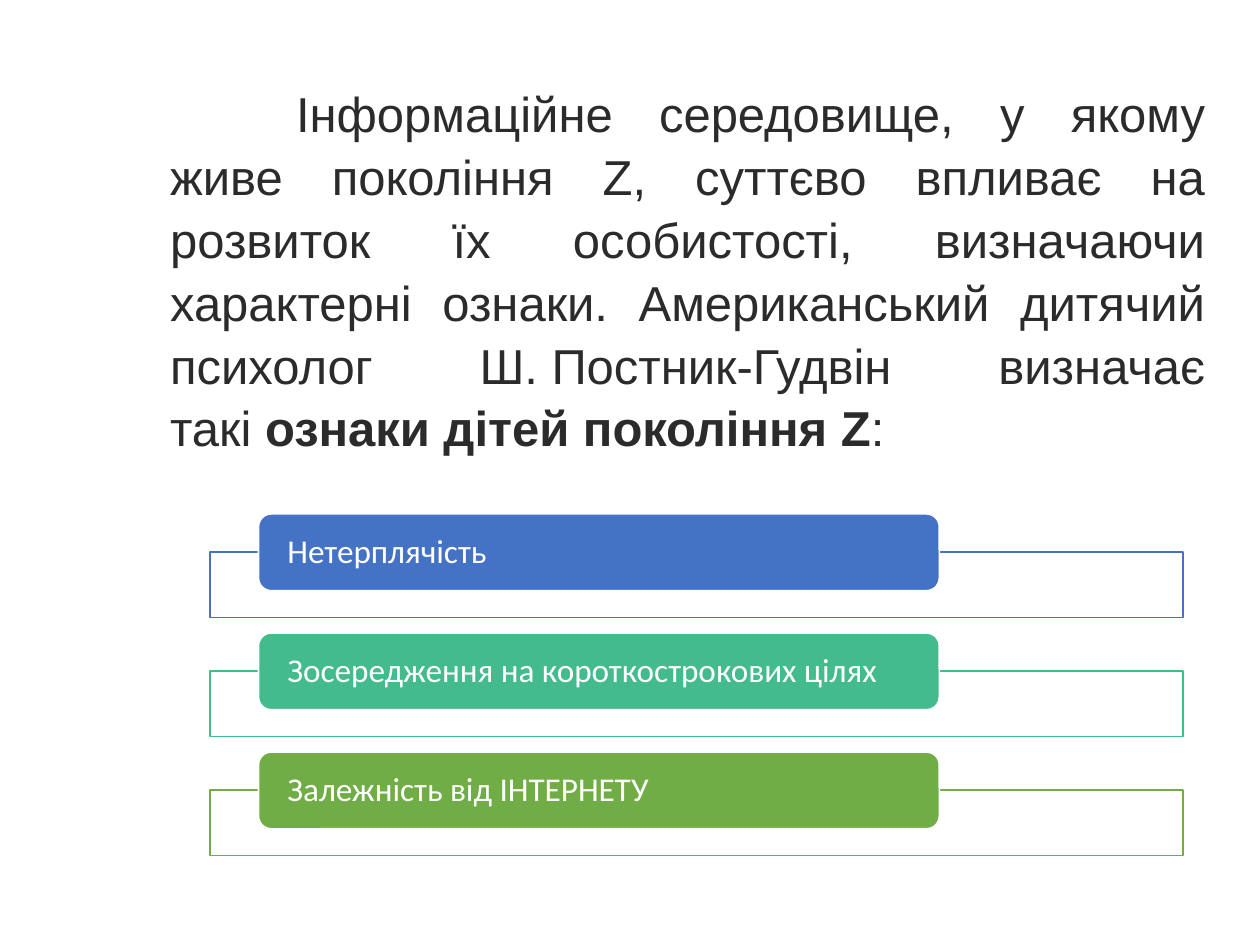
from lxml import etree
from pptx import Presentation
from pptx.dml.color import RGBColor
from pptx.enum.shapes import MSO_SHAPE
from pptx.enum.text import MSO_ANCHOR, PP_ALIGN
from pptx.oxml.ns import qn
from pptx.util import Cm, Pt

RECTANGLE = MSO_SHAPE.RECTANGLE
ROUNDED = MSO_SHAPE.ROUNDED_RECTANGLE
MIDDLE = MSO_ANCHOR.MIDDLE
LEFT = PP_ALIGN.LEFT
JUSTIFY = PP_ALIGN.JUSTIFY

WHITE = RGBColor(0xFF, 0xFF, 0xFF)
INK = RGBColor(0x2C, 0x2B, 0x2B)
BLUE = RGBColor(0x44, 0x72, 0xC4)
TEAL = RGBColor(0x43, 0xBB, 0x8D)
GREEN = RGBColor(0x70, 0xAD, 0x47)

INTRO = [
    ("Інформаційне середовище, у якому живе покоління Z, суттєво впливає "
     "на розвиток їх особистості, визначаючи характерні ознаки. "
     "Американський дитячий психолог Ш.\u00a0Постник-Гудвін визначає "
     "такі\u00a0", False),
    ("ознаки дітей покоління Z", True),
    (":", False),
]
TRAITS = [
    ("Нетерплячість", BLUE),
    ("Зосередження на короткострокових цілях", TEAL),
    ("Залежність від ІНТЕРНЕТУ", GREEN),
]


def write(frame, runs, font, size, color, align=LEFT, spacing=1.0,
          before=0, indent=0):
    frame.word_wrap = True
    paragraph = frame.paragraphs[0]
    paragraph.alignment = align
    paragraph.line_spacing = spacing
    paragraph.space_before = Pt(before)
    if indent:
        paragraph._p.get_or_add_pPr().set("indent", str(Cm(indent)))
    for words, bold in runs:
        run = paragraph.add_run()
        run.text = words
        run.font.name = font
        run.font.size = Pt(size)
        run.font.bold = bold
        run.font.color.rgb = color


def add_block(slide, kind, left, top, width, height, fill, line, opacity=100):
    block = slide.shapes.add_shape(kind, Cm(left), Cm(top), Cm(width), Cm(height))
    block.shadow.inherit = False
    block.fill.solid()
    block.fill.fore_color.rgb = fill
    block.line.color.rgb = line
    block.line.width = Pt(1)
    if opacity < 100:
        tint = block._element.spPr.find(qn("a:solidFill"))[0]
        etree.SubElement(tint, qn("a:alpha")).set("val", str(opacity * 1000))
    return block


def add_intro(slide, left, top, width, height):
    intro = slide.shapes.add_textbox(Cm(left), Cm(top), Cm(width), Cm(height))
    write(intro.text_frame, INTRO, "Arial", 28, INK, align=JUSTIFY,
          spacing=1.07, before=7.5, indent=2.54)


def add_trait(slide, left, top, width, words, color):
    add_block(slide, RECTANGLE, left, top + 0.77, width, 1.32, WHITE, color,
              opacity=90)
    label = add_block(slide, ROUNDED, left + 0.97, top, width * 0.7, 1.55,
                      color, WHITE)
    frame = label.text_frame
    frame.vertical_anchor = MIDDLE
    frame.margin_left = frame.margin_right = Cm(0.51)
    frame.margin_top = frame.margin_bottom = 0
    write(frame, [(words, False)], "Calibri", 19, WHITE, spacing=0.9)


def add_traits(slide, left, top, width, pitch):
    for row, (words, color) in enumerate(TRAITS):
        add_trait(slide, left, top + row * pitch, width, words, color)


def main():
    deck = Presentation()
    deck.slide_width = Cm(25.4)
    deck.slide_height = Cm(19.05)
    slide = deck.slides.add_slide(deck.slide_layouts[6])
    add_intro(slide, left=3.18, top=1.47, width=21.36, height=9.45)
    add_traits(slide, left=4.24, top=10.36, width=19.61, pitch=2.4)
    deck.save("out.pptx")


main()
